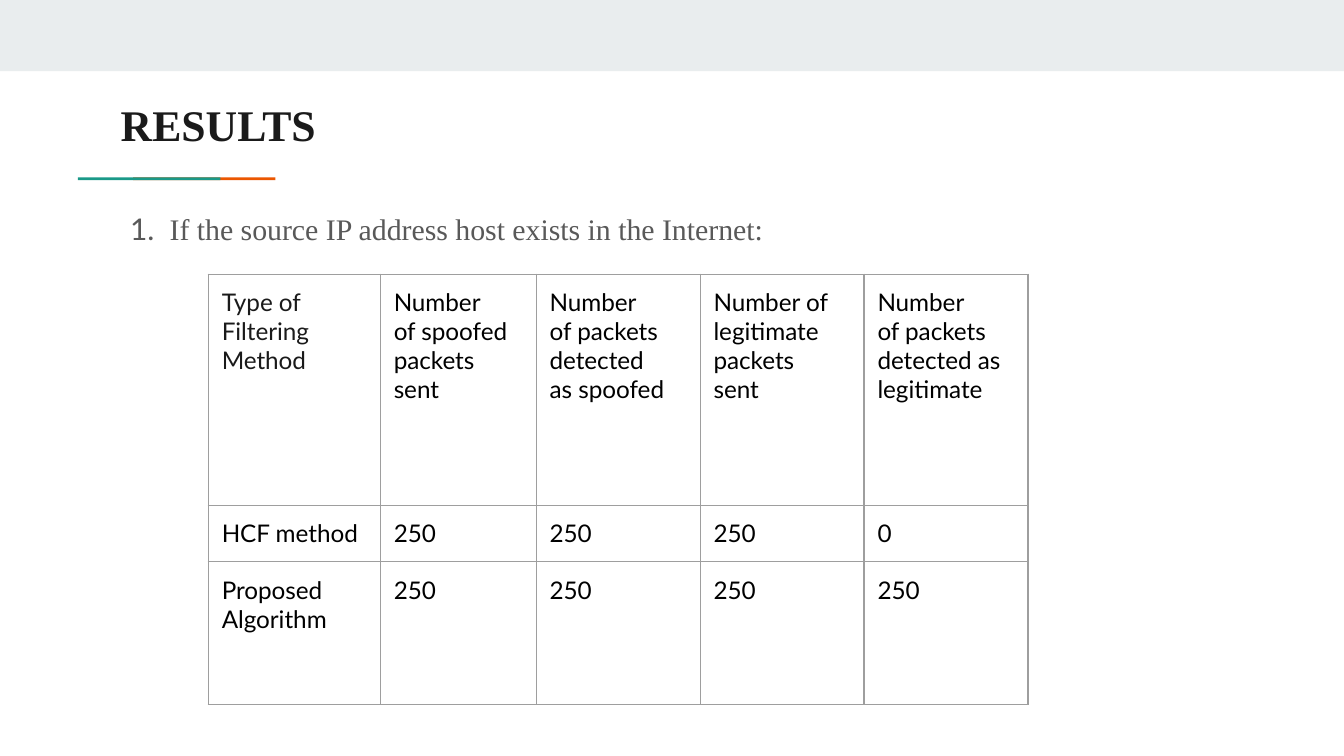
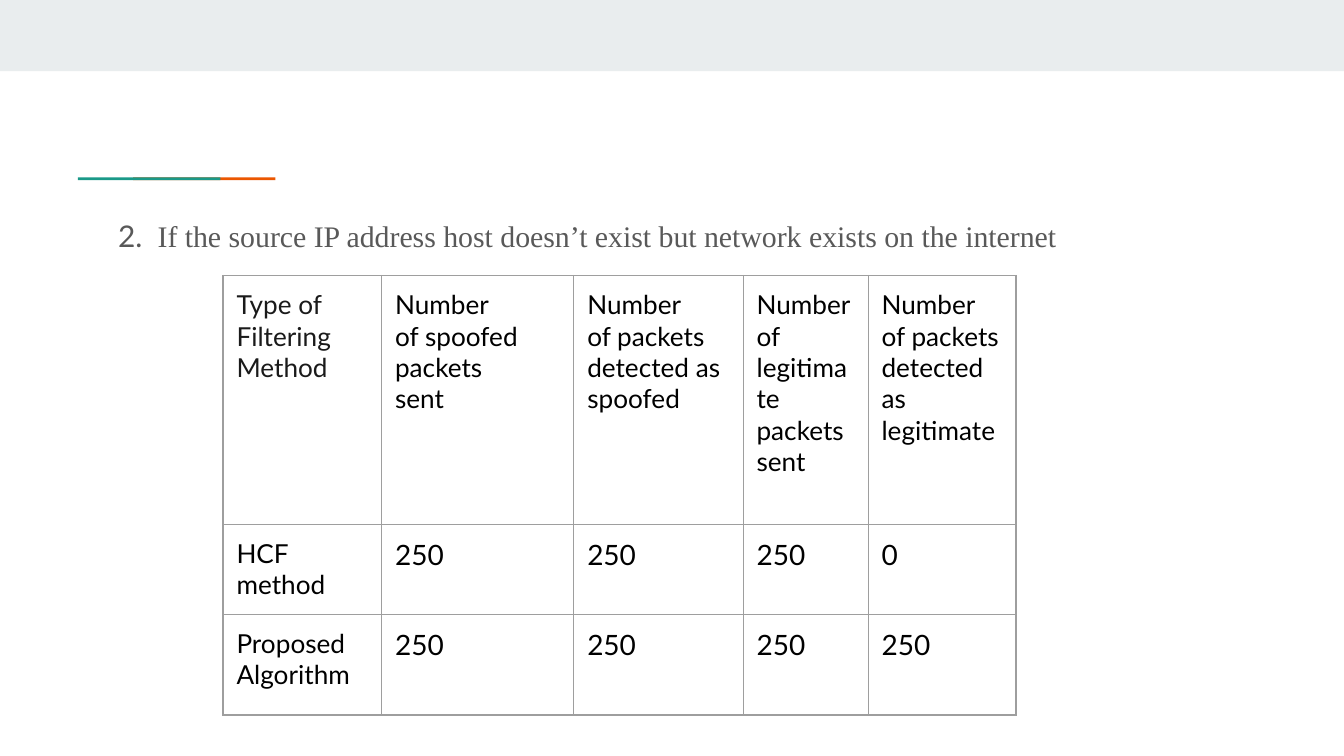
from lxml.etree import SubElement
from pptx import Presentation
from pptx.dml.color import RGBColor
from pptx.enum.shapes import MSO_SHAPE
from pptx.enum.text import MSO_ANCHOR
from pptx.oxml.ns import qn
from pptx.util import Inches, Pt

COLORS = {
    "band": "E9EDEE",
    "orange": "EB5600",
    "teal": "1A9988",
    "title": "1A1A1A",
    "body": "595959",
    "cell": "000000",
    "border": "9E9E9E",
}
SANS, SERIF = "Lato", "Times New Roman"
TITLE = {"name": SERIF, "size": Pt(23.4), "bold": True}
NUMBER = {"name": SANS, "size": Pt(16)}
BODY = {"name": SERIF, "size": Pt(16)}
INSETS = ("margin_left", "margin_top", "margin_right", "margin_bottom")

RESULTS = [
    ["HCF method", "250", "250", "250", "0"],
    ["Proposed Algorithm", "250", "250", "250", "250"],
]


def color(name):
    return RGBColor.from_string(COLORS[name])


class Deck:
    def __init__(self):
        self.prs = Presentation()
        self.prs.slide_width = Inches(10)
        self.prs.slide_height = Inches(10) * 9 // 16
        self.s = None

    def slide(self):
        self.s = self.prs.slides.add_slide(self.prs.slide_layouts[6])
        self.rect(0, 0, 10, 0.53, "band")
        self.rect(0.99, 1.32, 1.06, 0.02, "orange")
        self.rect(0.58, 1.32, 1.06, 0.02, "teal")

    def rect(self, x, y, w, h, fill):
        sp = self.s.shapes.add_shape(
            MSO_SHAPE.RECTANGLE, Inches(x), Inches(y), Inches(w), Inches(h))
        sp.shadow.inherit = False
        sp.fill.solid()
        sp.fill.fore_color.rgb = color(fill)
        sp.line.fill.background()

    def inset(self, box):
        for side in INSETS:
            setattr(box, side, Inches(0.1))

    def run(self, p, text, fmt, tint):
        r = p.add_run()
        r.text = text
        for name, value in fmt.items():
            setattr(r.font, name, value)
        r.font.color.rgb = color(tint)

    def text(self, x, y, w, h):
        tf = self.s.shapes.add_textbox(
            Inches(x), Inches(y), Inches(w), Inches(h)).text_frame
        tf.word_wrap = True
        self.inset(tf)
        return tf

    def title(self, text):
        tf = self.text(0.8, 0.63, 8.41, 0.59)
        tf.vertical_anchor = MSO_ANCHOR.BOTTOM
        self.run(tf.paragraphs[0], text, TITLE, "title")

    def case(self, x, y, w, h, number, text):
        p = self.text(x, y, w, h).paragraphs[0]
        p.line_spacing = 1.15
        p.space_after = Pt(12)
        pPr = p._p.get_or_add_pPr()
        pPr.set("marL", str(Inches(0.5)))
        pPr.set("indent", "0")
        self.run(p, f"{number}.  ", NUMBER, "body")
        self.run(p, text, BODY, "body")

    def borders(self, cell):
        tcPr = cell._tc.get_or_add_tcPr()
        for side in ("a:lnL", "a:lnR", "a:lnT", "a:lnB"):
            ln = SubElement(tcPr, qn(side), w=str(Pt(0.75)))
            fill = SubElement(ln, qn("a:solidFill"))
            SubElement(fill, qn("a:srgbClr"), val=COLORS["border"])

    def cell(self, cell, text, size, tint):
        self.inset(cell)
        self.borders(cell)
        cell.fill.background()
        tf = cell.text_frame
        for i, line in enumerate(text.split("\n")):
            p = tf.add_paragraph() if i else tf.paragraphs[0]
            self.run(p, line, {"name": SANS, "size": Pt(size)}, tint)

    def table(self, x, y, widths, heights, rows, label_size, value_size):
        table = self.s.shapes.add_table(
            len(rows), len(widths), Inches(x), Inches(y),
            Inches(sum(widths)), Inches(sum(heights))).table
        table.first_row = table.horz_banding = False
        for column, width in zip(table.columns, widths):
            column.width = Inches(width)
        for row, height in zip(table.rows, heights):
            row.height = Inches(height)
        for i, row in enumerate(rows):
            for j, text in enumerate(row):
                size = value_size if i and j else label_size
                tint = "cell" if i or j else "title"
                self.cell(table.cell(i, j), text, size, tint)


def main():
    deck = Deck()

    deck.slide()
    deck.title("RESULTS")
    deck.case(0.37, 1.43, 9.63, 4.2, 1,
              "If the source IP address host exists in the Internet:")
    header = [
        "Type of Filtering\nMethod",
        "Number\nof spoofed\npackets\nsent",
        "Number\nof packets\ndetected\nas spoofed",
        "Number of\nlegitimate\npackets\nsent",
        "Number\nof packets\ndetected as\nlegitimate",
    ]
    deck.table(1.55, 2.04, [1.28, 1.16, 1.22, 1.22, 1.22],
               [1.72, 0.42, 1.06], [header] + RESULTS, 13, 13)

    deck.slide()
    deck.case(0.28, 1.48, 9.49, 4.09, 2,
              "If the source IP address host doesn’t exist "
              "but network exists on the internet")
    header[1:3] = [
        "Number\nof spoofed packets\nsent",
        "Number\nof packets detected as spoofed",
    ]
    deck.table(1.66, 2.05, [1.18, 1.43, 1.26, 0.93, 1.1],
               [1.85, 0.67, 0.75], [header] + RESULTS, 14, 15)

    deck.prs.save("out.pptx")


if __name__ == "__main__":
    main()
